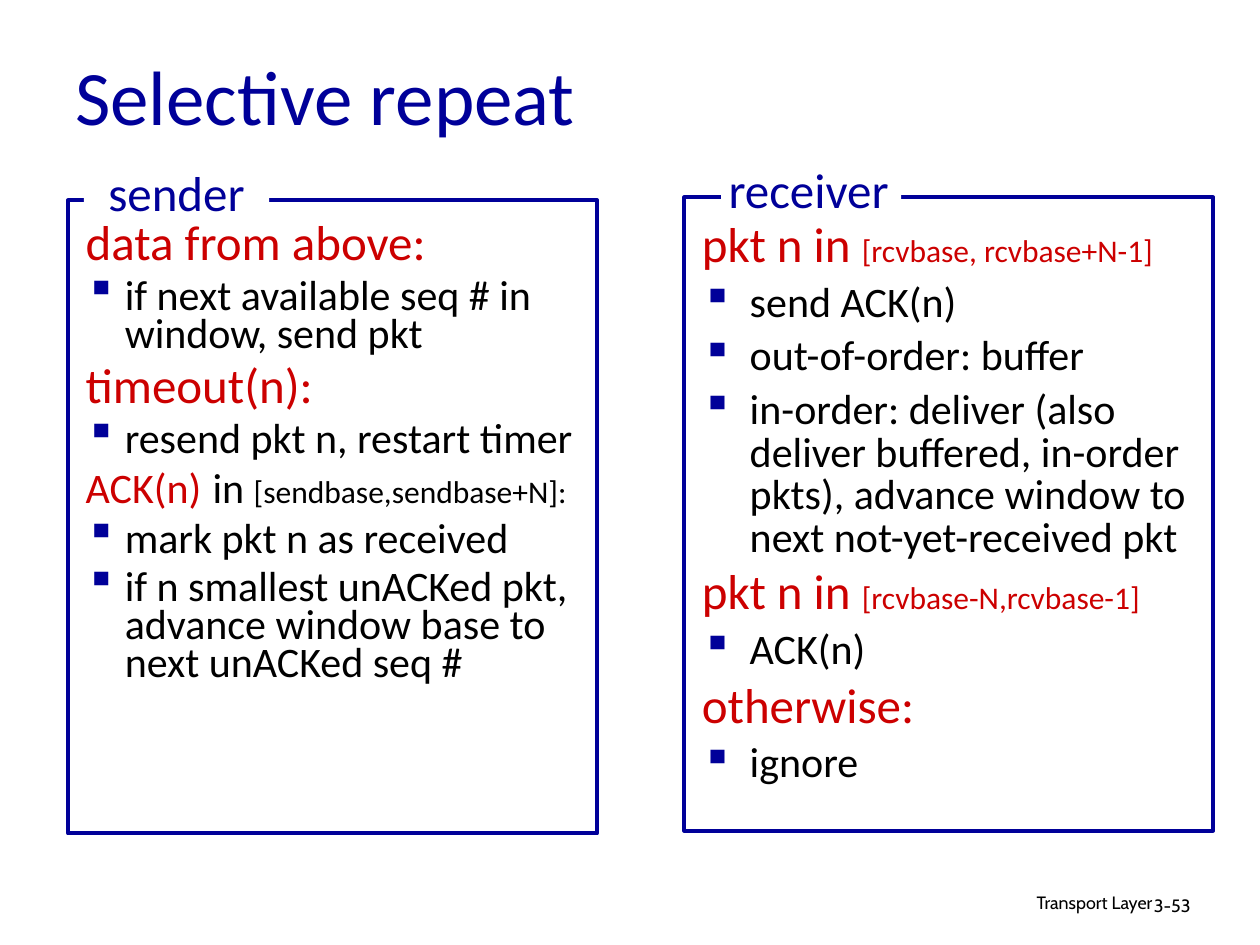
from lxml import etree
from pptx import Presentation
from pptx.dml.color import RGBColor
from pptx.enum.shapes import MSO_SHAPE
from pptx.enum.text import MSO_ANCHOR, PP_ALIGN
from pptx.oxml.ns import qn
from pptx.util import Inches, Pt

RECT = MSO_SHAPE.RECTANGLE
LEFT, MID, RIGHT = PP_ALIGN.LEFT, PP_ALIGN.CENTER, PP_ALIGN.RIGHT
TOP, CENTER = MSO_ANCHOR.TOP, MSO_ANCHOR.MIDDLE
WIDE, HIGH = Inches(10), Inches(7.5)
NAVY, RED, BLACK, WHITE = "000099", "CC0000", "000000", "FFFFFF"
SANS, FOOT = "Calibri", "Cabin"


def tint(code):
    """Turn a hex string into a colour."""
    return RGBColor.from_string(code)


def part(box, share):
    """Return the box that takes the given shares of another box."""
    x, y, w, h = box
    left, top, wide, high = share
    return [round(n) for n in (x + left * w, y + top * h, wide * w, high * h)]


def style(font, size, color):
    """Set the size and colour of a font."""
    font.size = Pt(size)
    font.color.rgb = tint(color)


def frame(slide, box, anchor=TOP, wrap=True):
    """Add a text box and return its text frame."""
    text = slide.shapes.add_textbox(*box).text_frame
    text.word_wrap = wrap
    text.vertical_anchor = anchor
    return text


def write(para, runs, face=SANS, align=LEFT):
    """Fill a paragraph with runs of text, size and colour."""
    para.alignment = align
    para.font.name = face
    if len(runs) == 1:
        style(para.font, *runs[0][1:])
    for words, size, color in runs:
        run = para.add_run()
        run.text = words
        if len(runs) > 1:
            style(run.font, size, color)


def indent(para, depth, mark):
    """Give a paragraph a hanging indent and, if asked, a square bullet."""
    props = para._p.get_or_add_pPr()
    props.set("marL", str(Inches(depth)))
    props.set("indent", str(-Inches(depth)))
    if mark:
        hue = etree.SubElement(props, qn("a:buClr"))
        etree.SubElement(hue, qn("a:srgbClr")).set("val", NAVY)
        etree.SubElement(props, qn("a:buChar")).set("char", "▪")
    else:
        etree.SubElement(props, qn("a:buNone"))


def block(slide, box, fill=None, line=None):
    """Add a plain rectangle."""
    shape = slide.shapes.add_shape(RECT, *box)
    shape.shadow.inherit = False
    if fill:
        shape.fill.solid()
        shape.fill.fore_color.rgb = tint(fill)
    else:
        shape.fill.background()
    if line:
        shape.line.color.rgb = tint(line)
        shape.line.width = Pt(2.25)
    else:
        shape.line.fill.background()


def panel(slide, box, name, tag, patch, rows, depth, pitch):
    """Place a framed list with its name set into the top edge."""
    text = frame(slide, part(box, (0.01, 0.03, 0.99, 1.01)))
    for i, (gap, runs) in enumerate(rows):
        para = text.add_paragraph() if i else text.paragraphs[0]
        indent(para, depth, isinstance(runs, str))
        para.line_spacing = pitch
        para.space_before = Pt(gap if i else 0)
        write(para, [(runs, 24, BLACK)] if isinstance(runs, str) else runs)
    block(slide, box, line=NAVY)
    block(slide, part(box, patch), fill=WHITE)
    label = frame(slide, part(box, tag), wrap=False)
    write(label.paragraphs[0], [(name, 28, NAVY)], align=MID)


def title(slide, box):
    """Place the slide title."""
    text = frame(slide, box, CENTER)
    write(text.paragraphs[0], [("Selective repeat", 44, NAVY)])


def footer(slide, box):
    """Place the chapter name and the page number."""
    cells = [("Transport Layer", (0, 0, 0.85, 1), RIGHT),
             ("3-53", (0.8, 0.06, 0.2, 1), LEFT)]
    for words, share, align in cells:
        para = frame(slide, part(box, share)).paragraphs[0]
        para.line_spacing = 0.9
        write(para, [(words, 10.2, BLACK)], FOOT, align)


SEND = [
    (7, [("data from above:", 28, RED)]),
    (6, "if next available seq # in window, send pkt"),
    (7, [("timeout(n):", 28, RED)]),
    (6, "resend pkt n, restart timer"),
    (4.5, [("ACK(n)", 24, RED), (" ", 28, RED), ("in ", 24, BLACK),
           ("[sendbase,sendbase+N]:", 18, BLACK)]),
    (6, "mark pkt n as received"),
    (6, "if n smallest unACKed pkt, advance window base to next unACKed seq #"),
]
TAKE = [
    (4.5, [("pkt n in ", 28, RED), ("[rcvbase, rcvbase+N-1]", 18, RED)]),
    (6, "send ACK(n)"),
    (6, "out-of-order: buffer"),
    (6, "in-order: deliver (also deliver buffered, in-order pkts), "
        "advance window to next not-yet-received pkt"),
    (4.5, [("pkt n in ", 28, RED), ("[rcvbase-N,rcvbase-1]", 18, RED)]),
    (6, "ACK(n)"),
    (6, [("otherwise:", 28, RED)]),
    (6, "ignore"),
]


def main():
    """Build and save the slide."""
    deck = Presentation()
    deck.slide_width, deck.slide_height = WIDE, HIGH
    slide = deck.slides.add_slide(deck.slide_layouts[6])
    page = (0, 0, WIDE, HIGH)
    footer(slide, part(page, (0.61, 0.94, 0.37, 0.04)))
    title(slide, part(page, (0.05, 0.04, 0.85, 0.12)))
    tag = (0.03, -0.07, 0.35, 0.11)
    panel(slide, part(page, (0.054, 0.212, 0.42, 0.67)), "sender",
          tag, tag, SEND, 0.31, 0.75)
    panel(slide, part(page, (0.543, 0.209, 0.42, 0.67)), "receiver",
          (0.04, -0.07, 0.39, 0.11), (0.07, -0.03, 0.34, 0.06),
          TAKE, 0.38, 0.85)
    deck.save("out.pptx")


if __name__ == "__main__":
    main()
